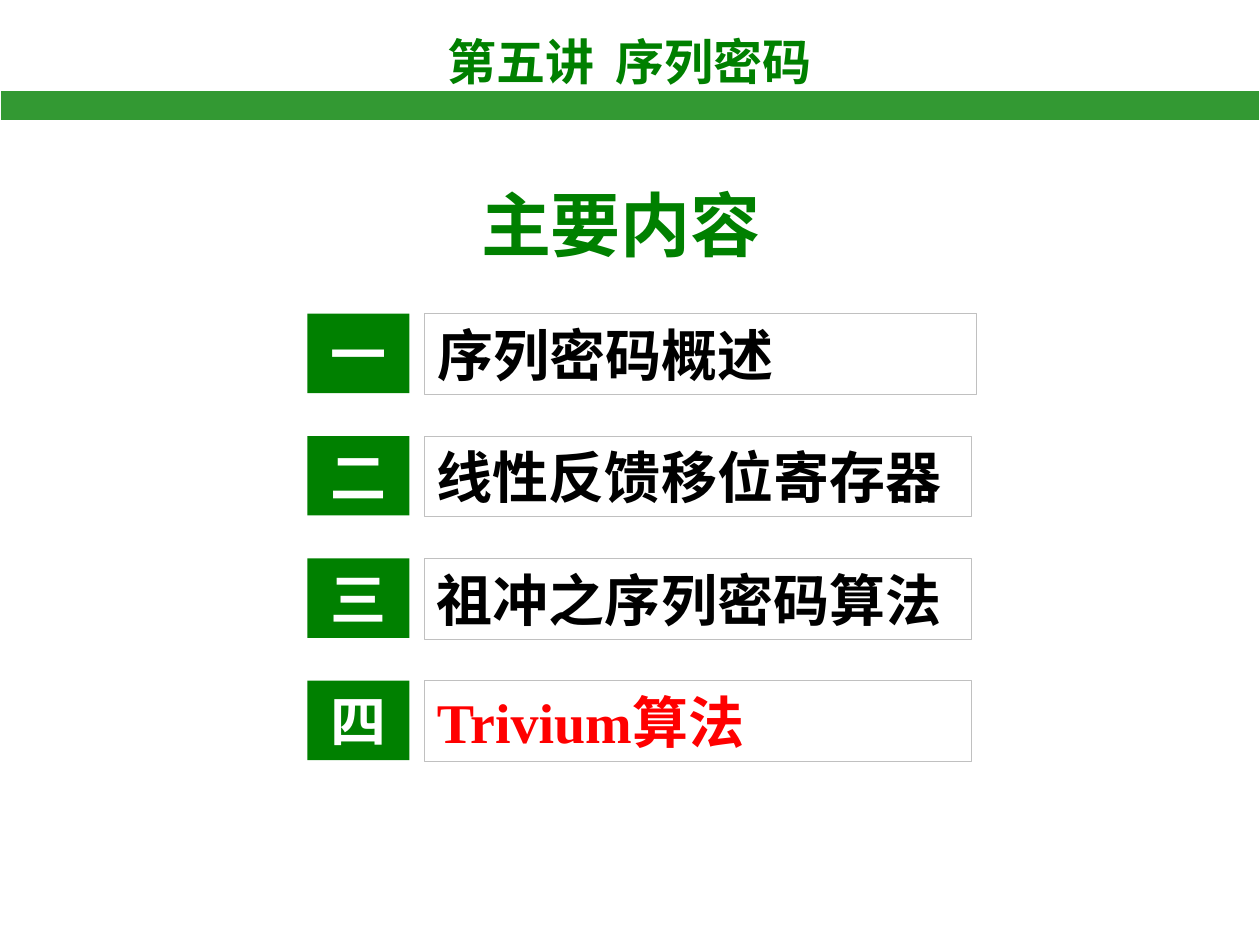
from pptx import Presentation
from pptx.dml.color import RGBColor
from pptx.enum.shapes import MSO_SHAPE as Shape
from pptx.enum.text import MSO_ANCHOR as Anchor, PP_ALIGN as Align
from pptx.oxml.ns import qn
from pptx.util import Pt

SANS, SERIF = "Noto Sans CJK SC", "Times New Roman"
GREEN, BAND, GRAY = "008000", "339933", "C0C0C0"
BLACK, WHITE, RED = "000000", "FFFFFF", "FF0000"


def color(value):
    """Turn a hex string into a colour."""
    return RGBColor.from_string(value)


class SlideBuilder:
    """Draws styled elements on the current slide."""

    def __init__(self, slide):
        """Keep the slide to draw on."""
        self.slide = slide

    def fill_text(self, frame, runs, size, ink, align=Align.LEFT, wrap=True, anchor=Anchor.TOP):
        """Fill a text frame with (text, font, tracking) runs."""
        for name, value in {"word_wrap": wrap, "vertical_anchor": anchor}.items():
            setattr(frame, name, value)
        paragraph = frame.paragraphs[0]
        paragraph.alignment = align
        for text, typeface, tracking in runs:
            run = paragraph.add_run()
            run.text = text
            for name, value in {"name": typeface, "size": Pt(size), "bold": True}.items():
                setattr(run.font, name, value)
            run.font.color.rgb = color(ink)
            properties = run._r.get_or_add_rPr()
            east_asian = properties.makeelement(qn("a:ea"), {"typeface": SANS})
            properties.find(qn("a:latin")).addnext(east_asian)
            if tracking:
                properties.set("spc", str(tracking * 100))

    def text(self, box, runs, size, **style):
        """Add a text box at (left, top, width, height)."""
        shape = self.slide.shapes.add_textbox(*map(Pt, box))
        self.fill_text(shape.text_frame, runs, size, GREEN, **style)

    def block(self, kind, box, fill=None, line=None, weight=0.75):
        """Add a preset shape and return it."""
        shape = self.slide.shapes.add_shape(kind, *map(Pt, box))
        shape.shadow.inherit = False
        for target, value in ((shape.fill, fill), (shape.line.fill, line)):
            if value:
                target.solid()
                target.fore_color.rgb = color(value)
            else:
                target.background()
        if line:
            shape.line.width = Pt(weight)
        return shape

    def topic(self, top, number, runs, width, ink):
        """Add one numbered row of the contents list."""
        label = self.block(Shape.ROUNDED_RECTANGLE, (242.64, top, width, 46.1), line=GRAY, weight=0.25)
        label.adjustments[0] = 0
        self.fill_text(label.text_frame, runs, 32, ink, anchor=Anchor.MIDDLE)
        badge = self.block(Shape.RECTANGLE, (175.7, top, 58.3, 45.4), fill=GREEN)
        self.fill_text(badge.text_frame, [(number, SANS, 0)], 32, WHITE,
                       align=Align.CENTER, wrap=False, anchor=Anchor.MIDDLE)


def main():
    """Build the contents slide."""
    presentation = Presentation()
    presentation.slide_width, presentation.slide_height = Pt(720), Pt(540)
    builder = SlideBuilder(presentation.slides.add_slide(presentation.slide_layouts[6]))

    lecture = [("第五讲", SANS, 0), (" ", SANS, 6), ("序列密码", SANS, 0)]
    builder.text((178.6, 14.4, 362, 41), lecture, 28, align=Align.CENTER)
    builder.block(Shape.RECTANGLE, (0, 51.8, 720, 17.3), fill=BAND, line=WHITE)
    builder.text((267.8, 100, 186.5, 55.4), [("主要内容", SANS, 0)], 40, wrap=False)

    topics = [
        ("一", [("序列密码概述", SANS, 0)], 315.4, BLACK),
        ("二", [("线性反馈移位寄存器", SERIF, 0)], 312.5, BLACK),
        ("三", [("祖冲之序列密码算法", SANS, 0)], 312.5, BLACK),
        ("四", [("Trivium", SERIF, 0), ("算法", SANS, 0)], 312.5, RED),
    ]
    for index, topic in enumerate(topics):
        builder.topic(179.3 + index * 69.9, *topic)

    presentation.save("out.pptx")


if __name__ == "__main__":
    main()
